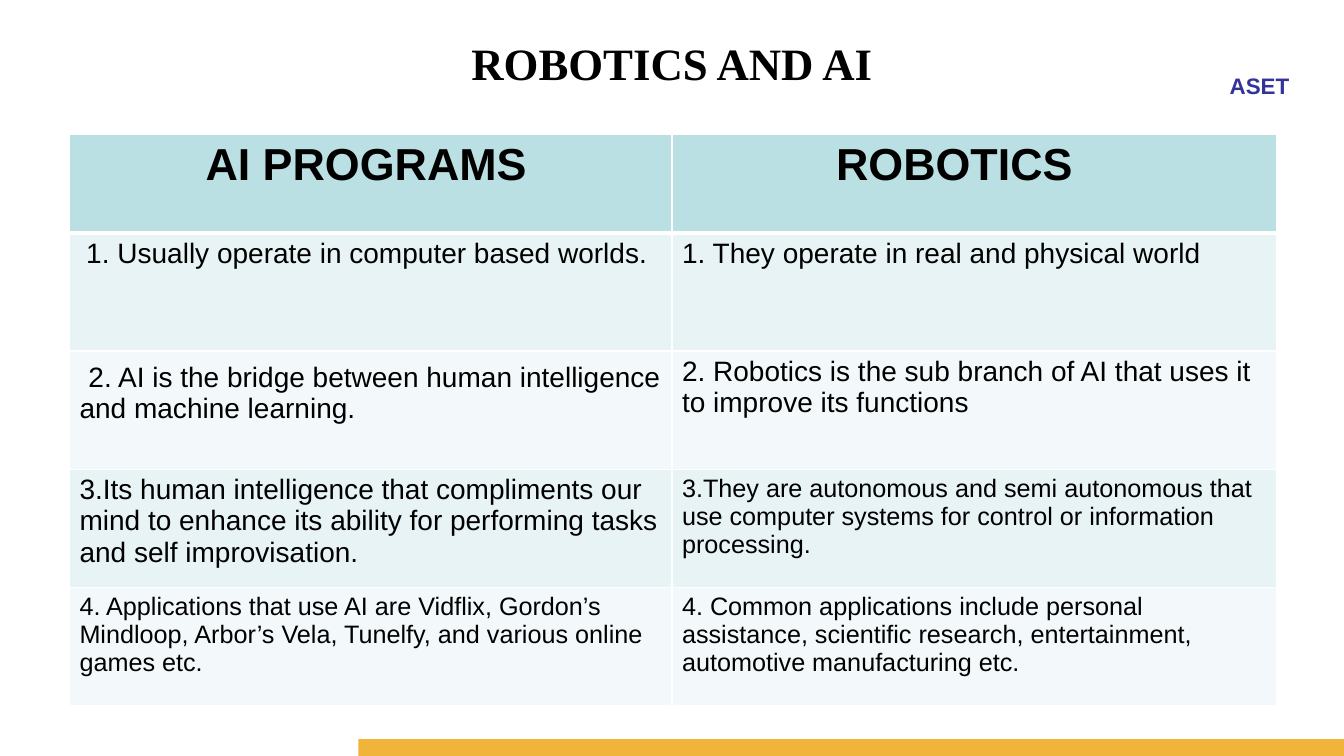
import pptx
import pptx.dml.color
import pptx.enum.shapes
import pptx.enum.text
import pptx.oxml
import pptx.oxml.ns
import pptx.util

COLUMNS, ROWS = 120, 67.5
UNIT = pptx.util.Inches(40 / 3) / COLUMNS
ALIGN = pptx.enum.text.PP_ALIGN

HEADER_FILL = "BBE0E3"
BAND_FILLS = ["E7F3F4", "F3F9FA"]
HEADINGS = [("AI PROGRAMS", 32, 11.25, 0), ("ROBOTICS", 32, 13.75, 0)]
COMPARISONS = [
    [("1. Usually operate in computer based worlds.", 20, 0.6, 0),
     ("1. They operate in real and physical world", 20, 0, 0)],
    [("2. AI is the bridge between human intelligence and machine learning.", 20, 0.8, 0.5),
     ("2. Robotics is the sub branch of AI that uses it to improve its functions", 20, 0, 0)],
    [("3.Its human intelligence that compliments our mind to enhance its ability "
      "for performing tasks and self improvisation.", 20, 0, 0),
     ("3.They are autonomous and semi autonomous that use computer systems for "
      "control or information processing.", 18, 0, 0)],
    [("4. Applications that use AI are Vidflix, Gordon’s Mindloop, Arbor’s Vela, "
      "Tunelfy, and various online games etc.", 18, 0, 0),
     ("4. Common applications include personal assistance, scientific research, "
      "entertainment, automotive manufacturing etc.", 18, 0, 0)],
]


def grid(count):
    return pptx.util.Emu(round(count * UNIT))


def color(value):
    return pptx.dml.color.RGBColor.from_string(value)


def fill_solid(target, value):
    target.fill.solid()
    target.fill.fore_color.rgb = color(value)


def write(frame, text, size, tint="000000", bold=False, face="Arial", align=ALIGN.LEFT):
    frame.word_wrap = True
    para = frame.paragraphs[0]
    para.text = text
    para.alignment = align
    para.font.name = face
    para.font.size = pptx.util.Pt(size)
    para.font.bold = bold
    para.font.color.rgb = color(tint)
    return para


def add_label(page, place, text, size, **style):
    box = page.shapes.add_textbox(*map(grid, place))
    write(box.text_frame, text, size, **style)


def add_bar(page, place, tint):
    bar = page.shapes.add_shape(pptx.enum.shapes.MSO_SHAPE.RECTANGLE, *map(grid, place))
    bar.shadow.inherit = False
    fill_solid(bar, tint)
    bar.line.fill.background()


def add_border(cell, side, points):
    line = pptx.oxml.parse_xml(
        f'<a:{side} {pptx.oxml.ns.nsdecls("a")} w="{pptx.util.Pt(points)}">'
        '<a:solidFill><a:srgbClr val="FFFFFF"/></a:solidFill>'
        f'</a:{side}>')
    cell._tc.get_or_add_tcPr().append(line)


def fill_cell(cell, row, content):
    text, size, indent, drop = content
    header = row == 0
    borders = {"lnL": 1, "lnR": 1, "lnT": 3 if row == 1 else 1, "lnB": 3 if header else 1}
    for side, points in borders.items():
        add_border(cell, side, points)
    fill_solid(cell, HEADER_FILL if header else BAND_FILLS[(row - 1) % 2])
    cell.margin_top = pptx.util.Inches(0.05) + grid(drop)
    para = write(cell.text_frame, text, size, bold=header)
    para._p.get_or_add_pPr().set("indent", str(grid(indent)))


def add_comparison(page, left, top, widths, heights):
    contents = [HEADINGS, *COMPARISONS]
    frame = page.shapes.add_table(
        len(heights), len(widths), *map(grid, (left, top, sum(widths), sum(heights))))
    table = frame.table
    for column, width in zip(table.columns, widths):
        column.width = grid(width)
    for row, height in zip(table.rows, heights):
        row.height = grid(height)
    for row, line in enumerate(contents):
        for column, content in enumerate(line):
            fill_cell(table.cell(row, column), row, content)


def main():
    deck = pptx.Presentation()
    deck.slide_width, deck.slide_height = grid(COLUMNS), grid(ROWS)
    page = deck.slides.add_slide(deck.slide_layouts[6])
    add_label(page, (81, 6, 35, 3), "ASET", 16, tint="333399", bold=True, align=ALIGN.RIGHT)
    add_bar(page, (32, 66, 88, 1.5), "F1B43B")
    add_label(page, (6, 2.7, 108, 11.25), "ROBOTICS AND AI", 32,
              bold=True, face="Times New Roman", align=ALIGN.CENTER)
    add_comparison(page, 6.2, 12, [53.8, 54], [8.8] + [10.55] * len(COMPARISONS))
    deck.save("out.pptx")


if __name__ == "__main__":
    main()
